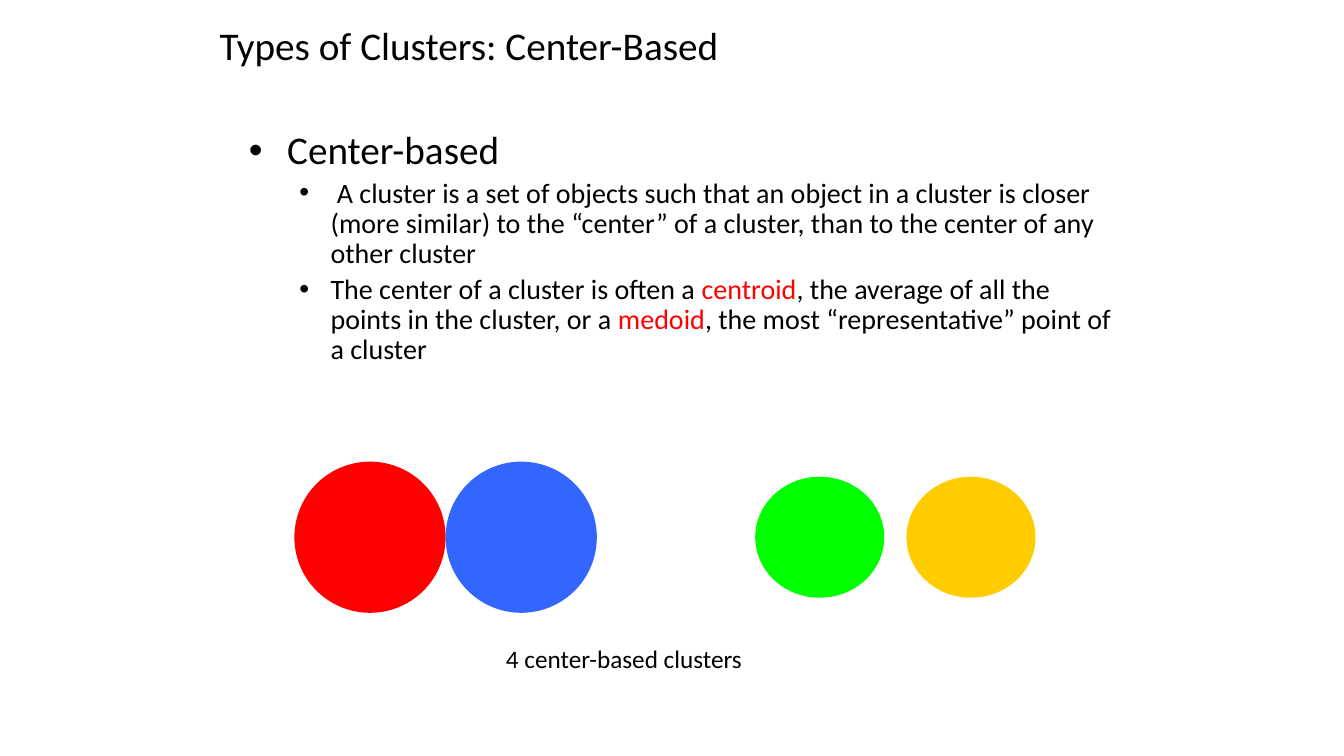
from lxml import etree
from pptx import Presentation
from pptx.dml.color import RGBColor
from pptx.enum.shapes import MSO_SHAPE as SHAPE
from pptx.enum.text import MSO_ANCHOR as ANCHOR
from pptx.oxml.ns import qn
from pptx.util import Inches, Pt

FONT = "Calibri"
BLACK, RED, BLUE, GREEN, GOLD = "000000", "FF0000", "3366FF", "00FF00", "FFCC00"
CLUSTER_MIDDLE = 5.33

DEFINITION = (" A cluster is a set of objects such that an object in a cluster is closer "
              "(more similar) to the “center” of a cluster, than to the center of any "
              "other cluster")
CENTER_KINDS = [
    ("The center of a cluster is often a ", BLACK),
    ("centroid", RED),
    (", the average of all the points in the cluster, or a ", BLACK),
    ("medoid", RED),
    (", the most “representative” point of a cluster", BLACK),
]


def color(hex_string):
    return RGBColor.from_string(hex_string)


def add_text_box(slide, left, top, width, height):
    tf = slide.shapes.add_textbox(Inches(left), Inches(top),
                                  Inches(width), Inches(height)).text_frame
    tf.word_wrap = True
    return tf


def add_run(p, text, size, hex_string=BLACK):
    r = p.add_run()
    r.text = text
    r.font.name = FONT
    r.font.size = Pt(size)
    r.font.color.rgb = color(hex_string)


def add_bullet(p, runs, size, level, margin, hanging):
    """Fill p with (text, colour) runs behind a hanging bullet."""
    p.level = level
    p.line_spacing = 0.9
    p.space_before = Pt(size * 0.2)
    for text, hex_string in runs:
        add_run(p, text, size, hex_string)
    pPr = p._p.get_or_add_pPr()
    pPr.set("marL", str(Inches(margin)))
    pPr.set("indent", str(-Inches(hanging)))
    etree.SubElement(pPr, qn("a:buFont"), typeface="Arial")
    etree.SubElement(pPr, qn("a:buChar"), char="•")


def add_cluster(slide, left, width, height, hex_string):
    sp = slide.shapes.add_shape(SHAPE.OVAL, Inches(left), Inches(CLUSTER_MIDDLE - height / 2),
                                Inches(width), Inches(height))
    sp.shadow.inherit = False
    sp.fill.solid()
    sp.fill.fore_color.rgb = color(hex_string)
    sp.line.fill.background()


def main():
    prs = Presentation()
    prs.slide_width, prs.slide_height = Inches(13.33), Inches(7.5)
    slide = prs.slides.add_slide(prs.slide_layouts[6])

    title = add_text_box(slide, 2.08, 0.17, 9.06, 0.6)
    title.vertical_anchor = ANCHOR.MIDDLE
    title.paragraphs[0].line_spacing = 0.9
    add_run(title.paragraphs[0], "Types of Clusters: Center-Based", 28)

    body = add_text_box(slide, 2.37, 1.25, 8.75, 5.59)
    add_bullet(body.paragraphs[0], [("Center-based", BLACK)], 28, 0, 0.38, 0.38)
    for runs in ([(DEFINITION, BLACK)], CENTER_KINDS):
        add_bullet(body.add_paragraph(), runs, 20, 1, 0.81, 0.31)

    for first_left, width, height, colors in ((2.92, 1.5, 1.5, (RED, BLUE)),
                                              (7.49, 1.28, 1.2, (GREEN, GOLD))):
        for i, hex_string in enumerate(colors):
            add_cluster(slide, first_left + i * 1.5, width, height, hex_string)

    caption = add_text_box(slide, 4.92, 6.33, 3.5, 0.4)
    add_run(caption.paragraphs[0], "4 center-based clusters", 18)

    prs.save("out.pptx")


if __name__ == "__main__":
    main()
